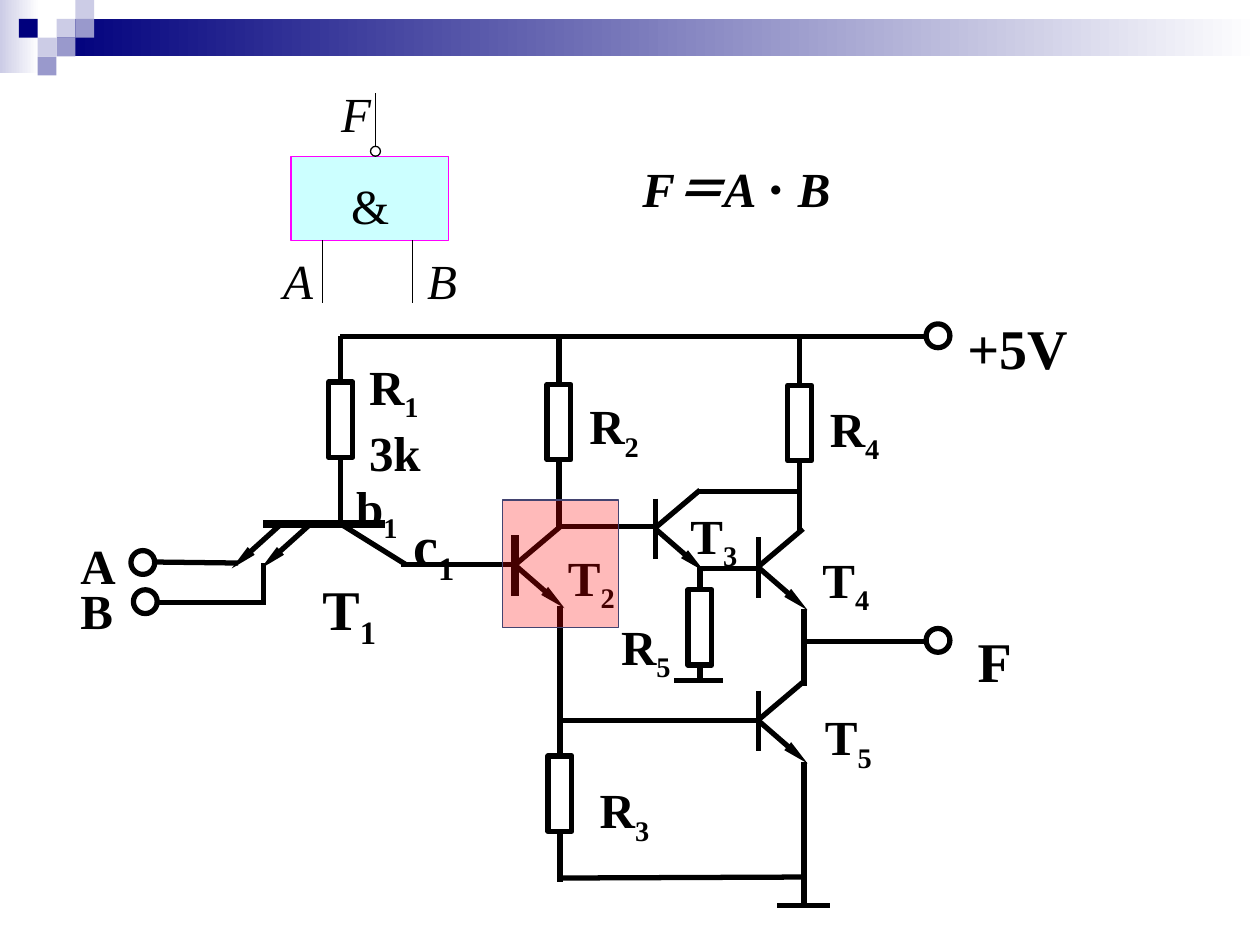
from lxml.etree import SubElement
from pptx import Presentation
from pptx.dml.color import RGBColor
from pptx.enum.shapes import MSO_CONNECTOR, MSO_SHAPE
from pptx.oxml.ns import qn
from pptx.util import Cm, Pt

COLORS = {
    "black": "000000", "white": "FFFFFF", "navy": "00007D",
    "lavender": "CCCCE6", "periwinkle": "9999CC", "cyan": "CCFFFF",
    "magenta": "FF00FF", "red": "FF0000", "slate": "434370",
}
FONT = "Times New Roman"
TOP, BOTTOM = 0, 2


def rgb(name):
    return RGBColor.from_string(COLORS[name])


class Schematic:
    """Draws schematic elements on one slide; positions are in centimetres."""

    def __init__(self, slide, wire_width=3):
        self.slide = slide
        self.wire_width = wire_width

    def shape(self, kind, left, top, width, height, fill=None, line=None,
              line_width=0.75, alpha=None):
        shape = self.slide.shapes.add_shape(
            kind, Cm(left), Cm(top), Cm(width), Cm(height))
        shape.shadow.inherit = False
        if isinstance(fill, tuple):
            shape.fill.gradient()
            shape.fill.gradient_angle = 0
            for stop, name in zip(shape.fill.gradient_stops, fill):
                stop.color.rgb = rgb(name)
        elif fill:
            shape.fill.solid()
            shape.fill.fore_color.rgb = rgb(fill)
        else:
            shape.fill.background()
        if alpha:
            color = shape._element.spPr.find(qn("a:solidFill"))[0]
            SubElement(color, qn("a:alpha"), val=str(alpha * 1000))
        if line:
            shape.line.color.rgb = rgb(line)
            shape.line.width = Pt(line_width)
        else:
            shape.line.fill.background()
        return shape

    def wire(self, x1, y1, x2, y2, width=None, arrow=False):
        wire = self.slide.shapes.add_connector(
            MSO_CONNECTOR.STRAIGHT, Cm(x1), Cm(y1), Cm(x2), Cm(y2))
        wire.line.color.rgb = rgb("black")
        wire.line.width = Pt(width or self.wire_width)
        if arrow:
            SubElement(wire.line._get_or_add_ln(), qn("a:tailEnd"),
                       type="triangle", w="sm", len="lg")
        SubElement(wire._element.spPr, qn("a:effectLst"))
        return wire

    def resistor(self, x, top, upper_y, lower_y):
        """A resistor centred on x, with leads to upper_y and lower_y."""
        width, height = 0.48, 1.52
        body = self.shape(MSO_SHAPE.RECTANGLE, x - width / 2, top, width, height,
                          line="black", line_width=self.wire_width)
        self.wire(x, top, x, upper_y).begin_connect(body, TOP)
        self.wire(x, top + height, x, lower_y).begin_connect(body, BOTTOM)

    def transistor(self, x, y, bar_width=None):
        self.wire(x, y - 0.61, x, y + 0.61, bar_width)
        self.wire(x, y, x + 0.99, y + 0.86, arrow=True)
        self.wire(x, y - 0.02, x + 0.9, y - 0.78)

    def terminal(self, left, top):
        self.shape(MSO_SHAPE.OVAL, left, top, 0.48, 0.48,
                   line="black", line_width=self.wire_width)

    def label(self, text, left, top, width, subscript="", size=28,
              bold=True, italic=False, wrap=True):
        height = 1.45 if size > 28 or not wrap else 1.3
        box = self.slide.shapes.add_textbox(
            Cm(left), Cm(top), Cm(width), Cm(height))
        frame = box.text_frame
        frame.word_wrap = wrap
        frame.margin_top = Cm(0.23)
        paragraph = frame.paragraphs[0]
        for part, baseline in ((text, None), (subscript, "-25000")):
            if not part:
                continue
            run = paragraph.add_run()
            run.text = part
            font = run.font
            font.name, font.size = FONT, Pt(size)
            font.bold, font.italic = bold, italic
            font.color.rgb = rgb("black")
            if baseline:
                font._element.set("baseline", baseline)


def draw_header(schematic):
    rectangle = MSO_SHAPE.RECTANGLE
    schematic.shape(rectangle, 0, 0, 0.79, 1.47, ("lavender", "white"))
    schematic.shape(rectangle, 1.14, 0.38, 24.26, 0.76, ("navy", "white"))
    side = 0.38
    squares = [(3, 1, "lavender"), (4, 0, "lavender"), (4, 1, "periwinkle"),
               (2, 2, "lavender"), (1, 1, "navy"), (3, 2, "periwinkle"),
               (2, 3, "periwinkle")]
    for column, row, color in squares:
        schematic.shape(rectangle, column * side, row * side, side, side, color)


def draw_gate(schematic):
    schematic.shape(MSO_SHAPE.RECTANGLE, 5.87, 3.15, 3.18, 1.7, "cyan", "magenta")
    for x, start, end in [(7.57, 3.15, 1.88), (6.5, 6.1, 4.83), (8.31, 6.1, 4.83)]:
        schematic.wire(x, start, x, end, width=0.75)
    for text, left, top in [("F", 6.63, 1.45), ("A", 5.46, 4.83), ("B", 8.36, 4.83)]:
        schematic.label(text, left, top, 1.12, bold=False, italic=True, wrap=False)
    schematic.label("&", 6.83, 3.3, 1.27, bold=False, wrap=False)
    schematic.label("F＝A ⋅ B", 12.7, 2.97, 4.9, italic=True)
    schematic.shape(MSO_SHAPE.OVAL, 7.47, 2.95, 0.2, 0.2, "white", "black")


def draw_circuit(schematic):
    rail = 6.78

    # Input transistor T1 with two emitters
    schematic.wire(5.31, 10.57, 7.77, 10.57, width=4.5)
    for x in (6.25, 5.66):
        schematic.wire(x, 10.57, x - 0.99, 11.46, arrow=True)
    schematic.wire(6.88, 10.57, 8.18, 11.38)

    # Transistors T2 to T5
    schematic.transistor(10.39, 11.4, bar_width=4.5)
    for x, y in [(13.21, 10.66), (15.29, 11.44), (15.29, 14.53)]:
        schematic.transistor(x, y)

    # Resistors R1 to R5: centre, top, ends of the leads
    for resistor in [(6.87, 7.7, rail, 10.57), (11.27, 7.75, rail, 10.62),
                     (11.29, 15.24, 12.22, 17.78), (16.12, 7.77, rail, 10.74),
                     (14.11, 11.89, 11.4, 13.72)]:
        schematic.resistor(*resistor)

    # Remaining wires
    for wire in [
        (6.86, rail, 18.69, rail),        # supply rail
        (8.08, 11.38, 10.39, 11.38),      # T2 base
        (13.21, 10.62, 11.28, 10.62),     # T3 base
        (14.07, 9.91, 16.13, 9.91),       # T3 collector
        (14.07, 11.46, 15.29, 11.46),     # T4 base
        (15.27, 14.53, 11.3, 14.53),      # T5 base
        (16.21, 12.27, 16.21, 13.82),     # T4 to T5
        (16.21, 12.93, 18.67, 12.93),     # output
        (16.21, 15.37, 16.21, 18.29),     # T5 emitter
        (11.3, 17.7, 16.21, 17.68),       # R3 return
        (13.59, 13.72, 14.58, 13.72),     # R5 ground
        (15.67, 18.26, 16.74, 18.26),     # main ground
        (4.8, 11.35, 3.15, 11.33),        # input A
        (5.31, 11.35, 5.31, 12.19),       # input B
        (5.31, 12.14, 3.2, 12.14),
    ]:
        schematic.wire(*wire)
    for terminal in [(18.67, 6.53), (18.67, 12.67), (2.64, 11.1), (2.69, 11.89)]:
        schematic.terminal(*terminal)

    # Labels: text, left, top, width, subscript, size
    for label in [
        ("+5V", 19.25, 6.1, 3.25, "", 32), ("F", 19.46, 12.4, 1.93, "", 32),
        ("R", 16.48, 7.8, 2.72, "4"), ("R", 11.63, 7.75, 2.72, "2"),
        ("R", 7.19, 6.96, 2.72, "1"), ("3k", 7.19, 8.28, 3.23),
        ("T", 11.2, 10.8, 1.57, "2"), ("R", 12.27, 12.19, 1.63, "5"),
        ("R", 11.84, 15.49, 2.67, "3"), ("T", 13.67, 9.96, 2.57, "3"),
        ("T", 16.33, 10.85, 1.73, "4"), ("T", 6.25, 11.35, 1.88, "1", 32),
        ("T", 16.38, 14.02, 1.73, "5"), ("b", 6.93, 9.4, 2.08, "1"),
        ("c", 8.08, 10.06, 2.62, "1", 32), ("A", 1.37, 10.57, 1.83),
        ("B", 1.37, 11.48, 1.83),
    ]:
        schematic.label(*label)

    # Highlight over T2
    schematic.shape(MSO_SHAPE.RECTANGLE, 10.13, 10.08, 2.34, 2.57,
                    "red", "slate", line_width=1, alpha=27)


def main():
    presentation = Presentation()
    presentation.slide_width, presentation.slide_height = Cm(25.4), Cm(19.05)
    slide = presentation.slides.add_slide(presentation.slide_layouts[6])
    schematic = Schematic(slide)
    draw_header(schematic)
    draw_gate(schematic)
    draw_circuit(schematic)
    presentation.save("out.pptx")


if __name__ == "__main__":
    main()
